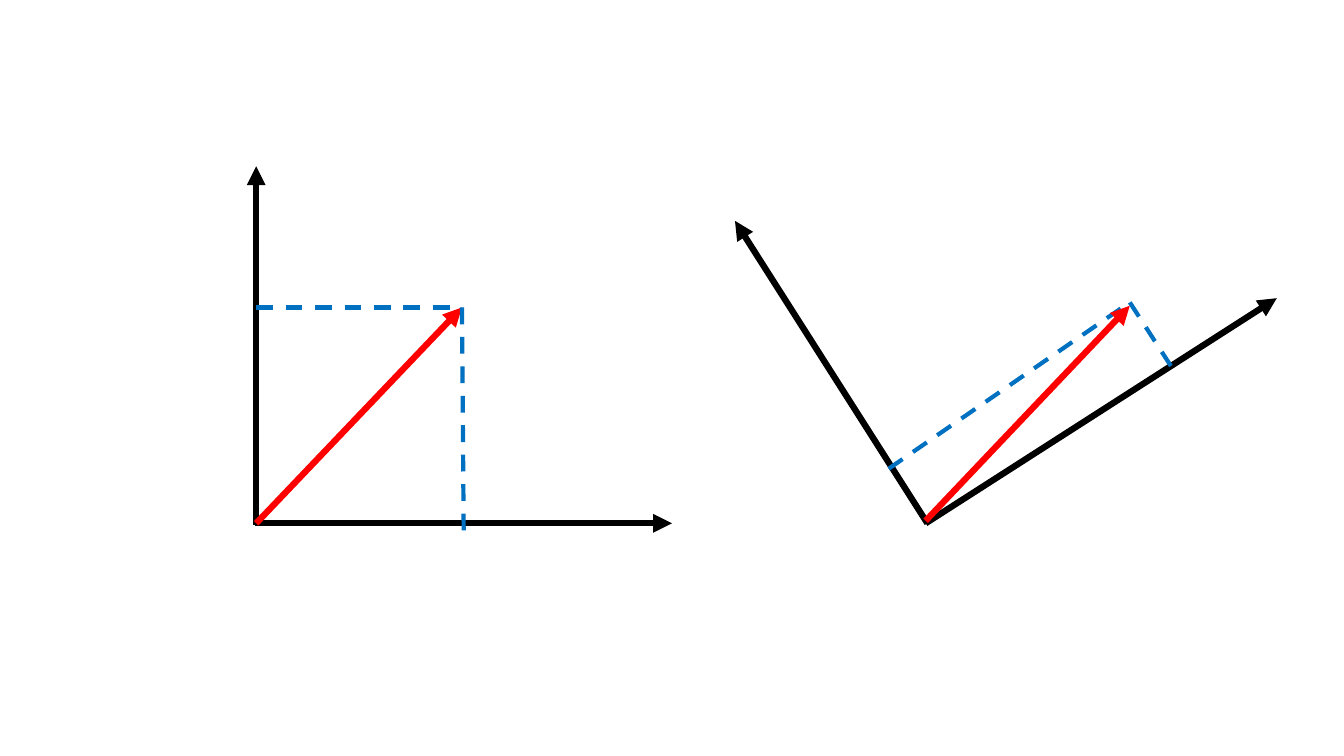
from dataclasses import dataclass

from lxml.etree import SubElement as Sub
from pptx import Presentation
from pptx.dml.color import RGBColor as Rgb
from pptx.enum.dml import MSO_LINE as Dash
from pptx.enum.shapes import MSO_CONNECTOR as Link
from pptx.oxml.ns import qn
from pptx.util import Inches, Pt

WIDE, HIGH = Inches(13.33), Inches(7.5)
COLS, ROWS = 16, 9


@dataclass(frozen=True)
class Theme:
    axis: str = "000000"
    vector: str = "FF0000"
    guide: str = "0070C0"
    bold: float = 4.5
    thin: float = 3


THEME = Theme()


def place(point):
    col, row = point
    return round(WIDE * col / COLS), round(HIGH * row / ROWS)


def stroke(group, start, end, color, width):
    link = group.shapes.add_connector(Link.STRAIGHT, *place(start), *place(end))
    link.line.color.rgb = Rgb.from_string(color)
    link.line.width = Pt(width)
    Sub(link._element.spPr, qn("a:effectLst"))
    return link


def arrow(group, start, end, color):
    link = stroke(group, start, end, color, THEME.bold)
    Sub(link.line._get_or_add_ln(), qn("a:tailEnd"), type="triangle")


def axis(group, start, end):
    arrow(group, start, end, THEME.axis)


def vector(group, start, end):
    arrow(group, start, end, THEME.vector)


def guide(group, start, end):
    link = stroke(group, start, end, THEME.guide, THEME.thin)
    link.line.dash_style = Dash.DASH


def upright(slide):
    group = slide.shapes.add_group_shape()
    base, tip = (3.05, 6.23), (5.5, 3.66)
    axis(group, (3.05, 6.25), (3.05, 1.98))
    axis(group, (3.04, 6.23), (8, 6.23))
    vector(group, base, tip)
    guide(group, (base[0], tip[1]), tip)
    guide(group, tip, (5.52, 6.32))


def rotated(slide):
    group = slide.shapes.add_group_shape()
    axis(group, (11.04, 6.23), (8.75, 2.63))
    axis(group, (11.02, 6.23), (15.2, 3.55))
    guide(group, (10.58, 5.58), (13.42, 3.62))
    guide(group, (13.45, 3.6), (13.98, 4.42))
    vector(group, (11.02, 6.2), (13.45, 3.64))


def main():
    deck = Presentation()
    deck.slide_width, deck.slide_height = WIDE, HIGH
    slide = deck.slides.add_slide(deck.slide_layouts[6])
    upright(slide)
    rotated(slide)
    deck.save("out.pptx")


if __name__ == "__main__":
    main()
